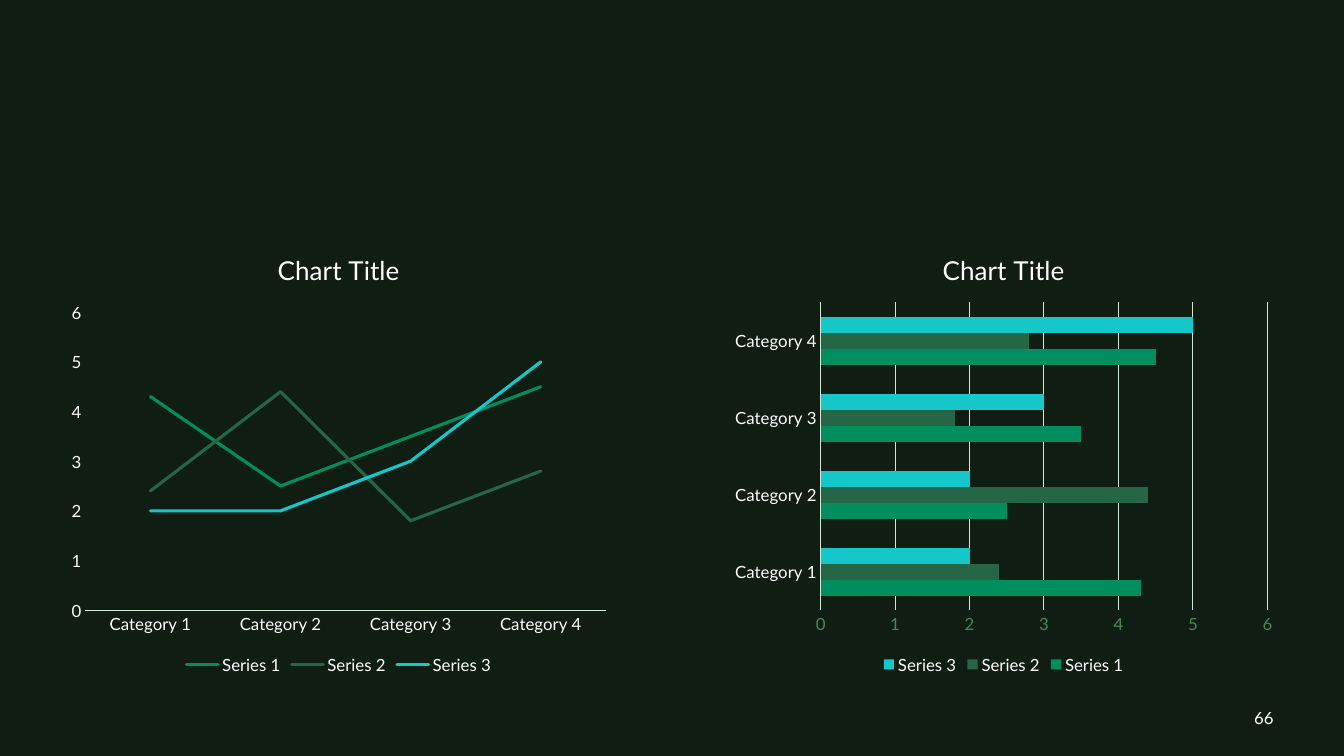
from dataclasses import dataclass

from pptx import Presentation, util as u
from pptx.chart.data import CategoryChartData
from pptx.dml.color import RGBColor
from pptx.enum import chart as ch, text

FONT = "Lato"
BACKGROUND, WHITE, PALE, GREEN = "0F1D13", "FFFFFF", "D1E7D7", "478859"
WIDTH, HEIGHT = u.Inches(13.33), u.Inches(7.5)
CATEGORIES = [f"Category {n}" for n in range(1, 5)]


@dataclass
class Series:
    name: str
    values: tuple[float, ...]
    color: str


@dataclass
class Panel:
    kind: ch.XL_CHART_TYPE
    left: float  # share of the slide's width
    width: float
    value_color: str
    grid: bool


SERIES = [
    Series("Series 1", (4.3, 2.5, 3.5, 4.5), "008E5E"),
    Series("Series 2", (2.4, 4.4, 1.8, 2.8), "246646"),
    Series("Series 3", (2, 2, 3, 5), "15C7C9"),
]
PANELS = [
    Panel(ch.XL_CHART_TYPE.LINE, 0.6 / 13.33, 5.52 / 13.33, WHITE, False),
    Panel(ch.XL_CHART_TYPE.BAR_CLUSTERED, 7.18 / 13.33, 5.55 / 13.33, GREEN, True),
]
PANEL_TOP, PANEL_HEIGHT = 2.3 / 7.5, 4.43 / 7.5


def paint(target, color: str) -> None:
    """Give a fill a solid colour."""
    target.solid()
    target.fore_color.rgb = RGBColor.from_string(color)


def style_font(font, size: float, color: str) -> None:
    font.name, font.size, font.bold = FONT, u.Pt(size), False
    font.color.rgb = RGBColor.from_string(color)


def style_line(line, color: str, width: float) -> None:
    paint(line.fill, color)
    line.width = u.Pt(width)


def style_axis(axis, color: str) -> None:
    axis.major_tick_mark = axis.minor_tick_mark = ch.XL_TICK_MARK.NONE
    style_font(axis.tick_labels.font, 12, color)


def draw_panel(slide, panel: Panel) -> None:
    data = CategoryChartData()
    data.categories = CATEGORIES
    for series in SERIES:
        data.add_series(series.name, series.values)
    chart = slide.shapes.add_chart(
        panel.kind, int(WIDTH * panel.left), int(HEIGHT * PANEL_TOP),
        int(WIDTH * panel.width), int(HEIGHT * PANEL_HEIGHT), data).chart
    style_font(chart.font, 10, BACKGROUND)

    # Title and legend
    chart.has_title = True
    title = chart.chart_title
    title.include_in_layout = False
    heading = title.text_frame.paragraphs[0].add_run()
    heading.text = "Chart Title"
    style_font(heading.font, 18.6, WHITE)
    chart.has_legend = True
    chart.legend.position = ch.XL_LEGEND_POSITION.BOTTOM
    chart.legend.include_in_layout = False
    style_font(chart.legend.font, 12, WHITE)

    # Axes
    categories, values = chart.category_axis, chart.value_axis
    style_axis(categories, WHITE)
    style_line(categories.format.line, PALE, 0.75)
    style_axis(values, panel.value_color)
    values.format.line.fill.background()
    values.minimum_scale, values.maximum_scale, values.major_unit = 0, 6, 1
    values.has_major_gridlines = panel.grid
    if panel.grid:
        style_line(values.major_gridlines.format.line, PALE, 0.75)

    # Series
    plot = chart.plots[0]
    plot.vary_by_categories = False
    is_line = panel.kind == ch.XL_CHART_TYPE.LINE
    if not is_line:
        plot.gap_width = 182
    for drawn, series in zip(plot.series, SERIES):
        if is_line:
            drawn.smooth = False
            drawn.marker.style = ch.XL_MARKER_STYLE.NONE
            style_line(drawn.format.line, series.color, 2.25)
            drawn.format.line._get_or_add_ln().set("cap", "rnd")
        else:
            drawn.invert_if_negative = False
            paint(drawn.format.fill, series.color)


def draw_page_number(slide) -> None:
    box = slide.shapes.add_textbox(
        int(WIDTH * 12.23 / 13.33), int(HEIGHT * 6.92 / 7.5),
        int(WIDTH * 0.5 / 13.33), int(HEIGHT * 0.4 / 7.5))
    frame = box.text_frame
    frame.word_wrap = True
    frame.vertical_anchor = text.MSO_ANCHOR.MIDDLE
    line = frame.paragraphs[0]
    line.alignment = text.PP_ALIGN.RIGHT
    number = line.add_run()
    number.text = "66"
    style_font(number.font, 12, WHITE)


def main() -> None:
    deck = Presentation()
    deck.slide_width, deck.slide_height = WIDTH, HEIGHT
    slide = deck.slides.add_slide(deck.slide_layouts[6])
    paint(slide.background.fill, BACKGROUND)
    draw_page_number(slide)
    for panel in PANELS:
        draw_panel(slide, panel)
    deck.save("out.pptx")


if __name__ == "__main__":
    main()
